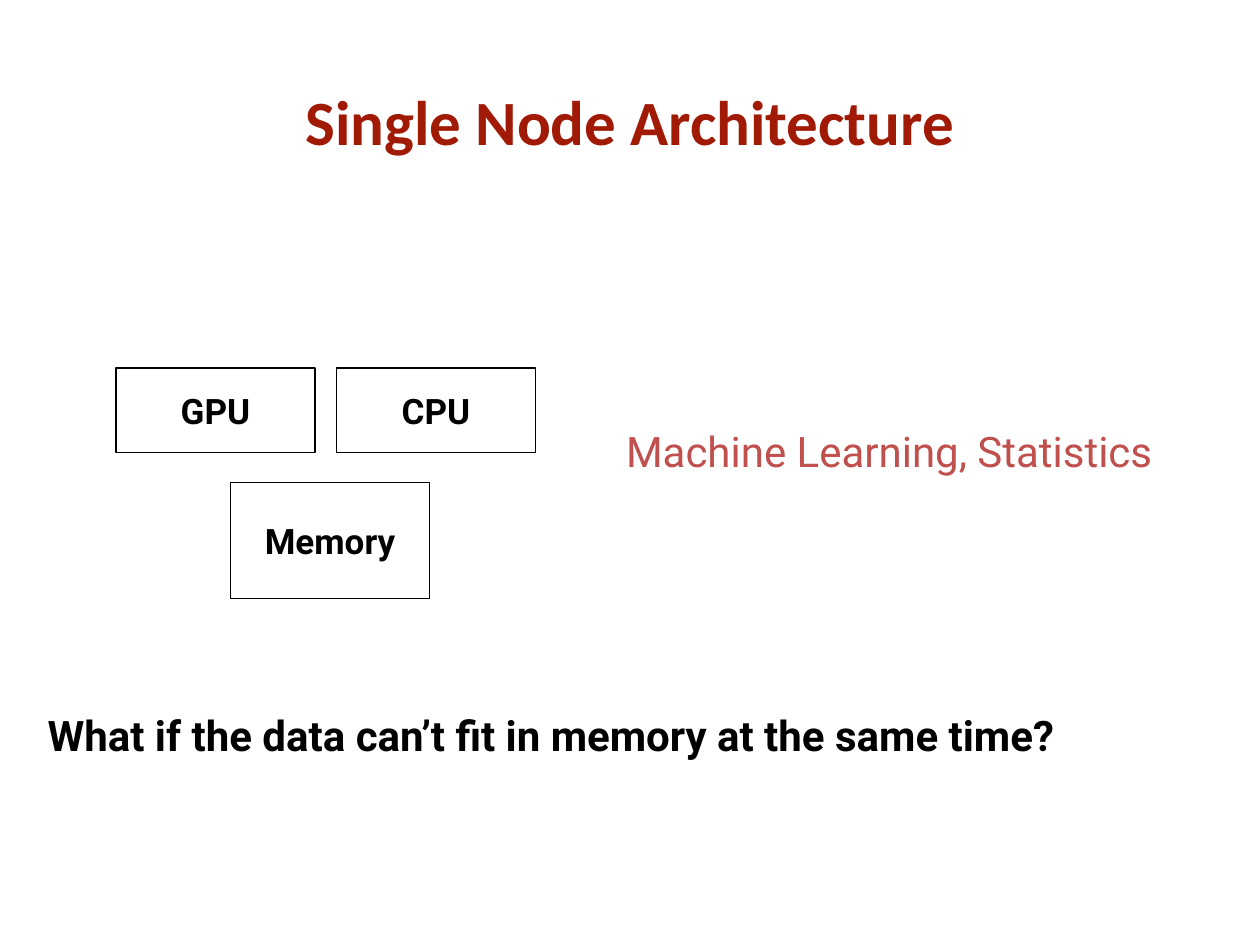
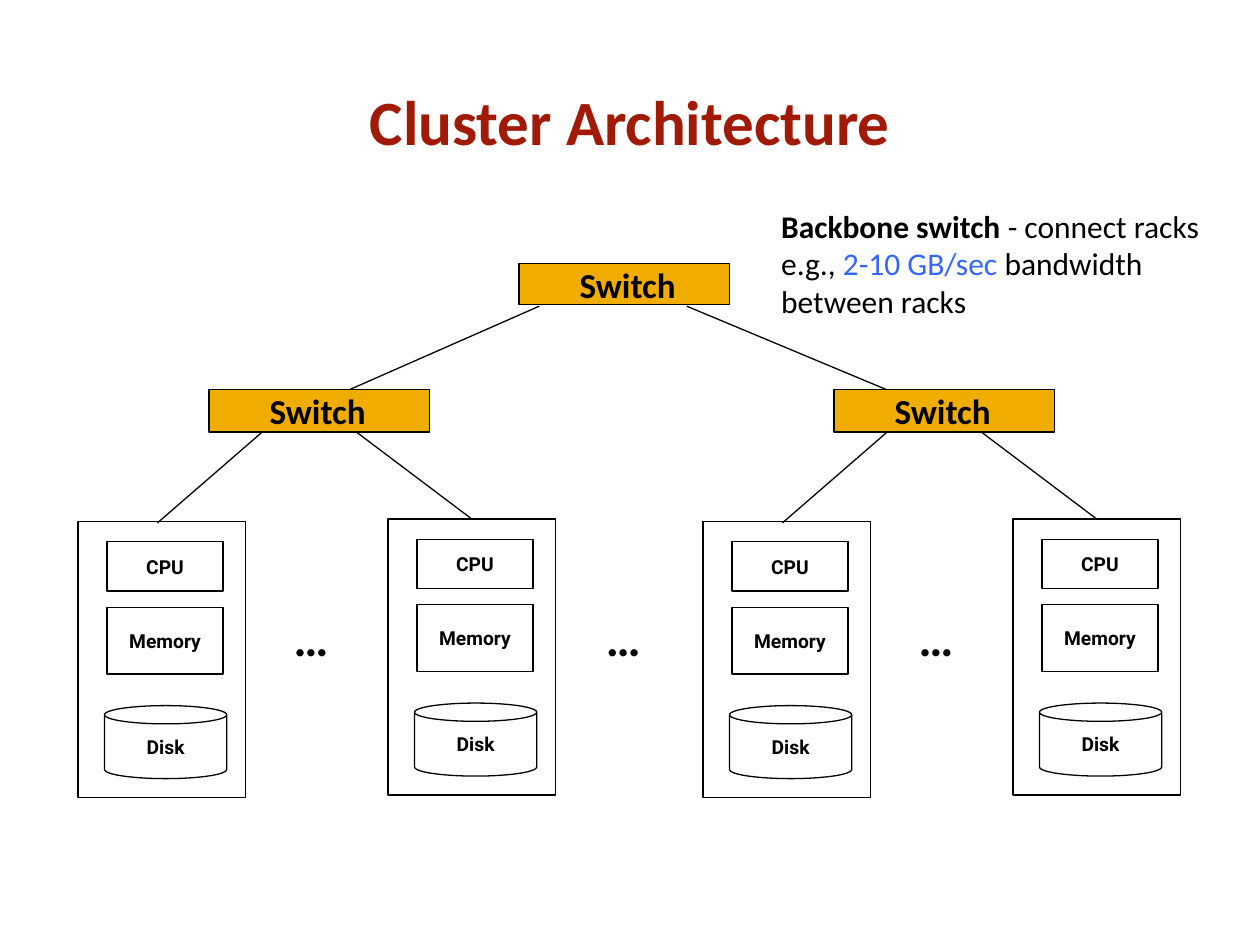
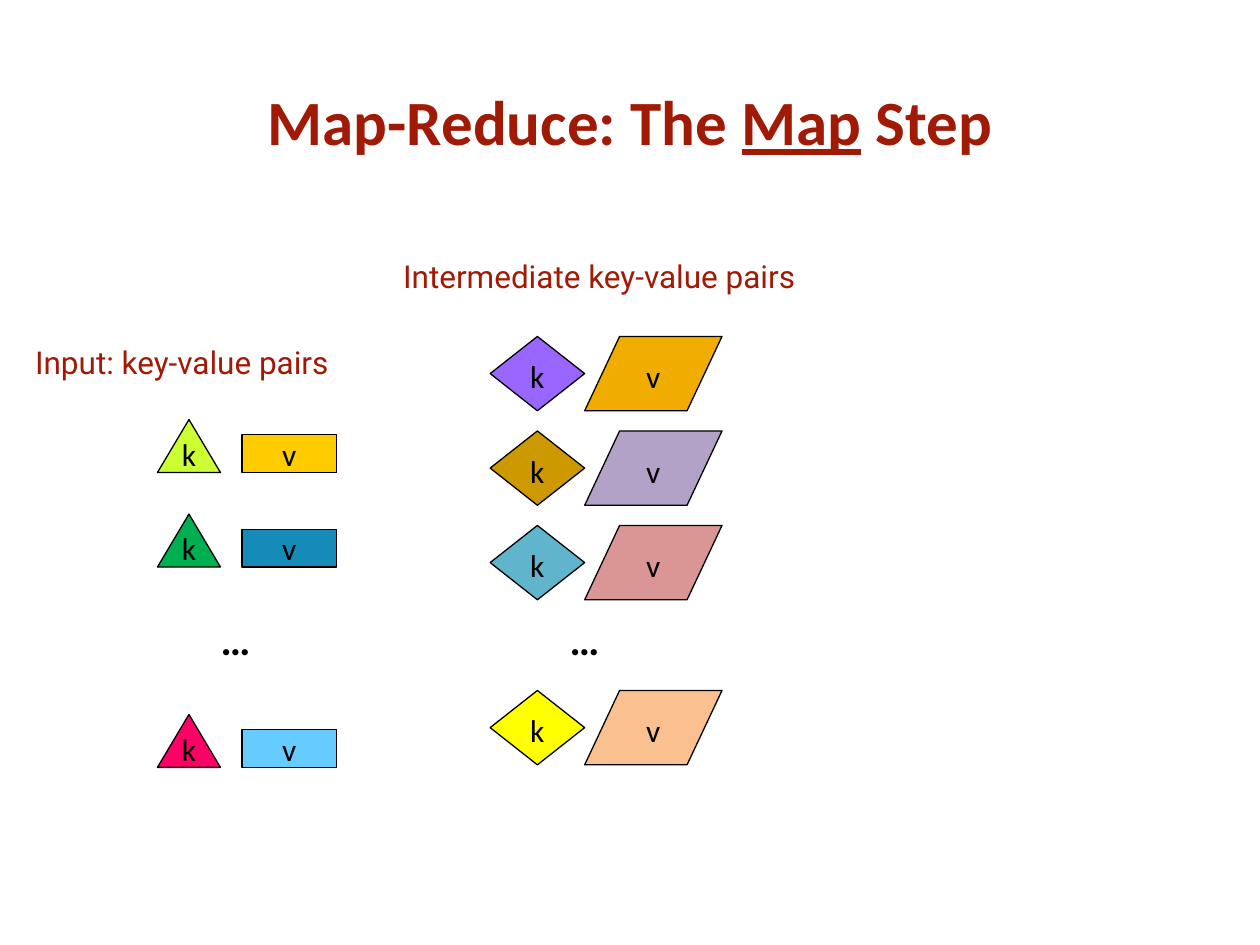
from pptx import Presentation
from pptx.dml.color import RGBColor
from pptx.enum.shapes import MSO_CONNECTOR, MSO_SHAPE
from pptx.enum.text import MSO_ANCHOR, PP_ALIGN
from pptx.oxml.ns import qn
from pptx.util import Inches, Pt

RECTANGLE = MSO_SHAPE.RECTANGLE
CAN = MSO_SHAPE.CAN
TRIANGLE = MSO_SHAPE.ISOSCELES_TRIANGLE
DIAMOND = MSO_SHAPE.DIAMOND
PARALLELOGRAM = MSO_SHAPE.PARALLELOGRAM
STRAIGHT = MSO_CONNECTOR.STRAIGHT
TOP, MIDDLE, BOTTOM = MSO_ANCHOR.TOP, MSO_ANCHOR.MIDDLE, MSO_ANCHOR.BOTTOM
LEFT, CENTER = PP_ALIGN.LEFT, PP_ALIGN.CENTER

HEADING_FONT = "Calibri"
LABEL_FONT = "Roboto"
LINE_WIDTH = Pt(0.75)
NO_INSETS = (0, 0, 0, 0)
TEXT_INSETS = (0.1, 0.05, 0.1, 0.05)
LOWERED = (0, 0.04, 0, 0)

COLORS = {
    "title": "A01A06",
    "black": "000000",
    "accent": "C0504D",
    "highlight": "3366FF",
    "switch": "F0AD00",
}
INPUT_PAIRS = [(3.33, "CCFF33", "FFCC00"), (4.08, "00B050", "168BBA"), (5.67, "FF0066", "66CCFF")]
INTERMEDIATE_PAIRS = [
    (2.67, "9966FF", "F0AD00"),
    (3.42, "CC9900", "B3A2C7"),
    (4.17, "60B5CC", "D99694"),
    (5.48, "FFFF00", "FAC090"),
]


def rgb(value):
    """Return the colour for a hex string."""
    return RGBColor.from_string(value)


def set_text(shape, lines, size, font=HEADING_FONT, color="black", bold=False,
             align=LEFT, anchor=TOP, insets=NO_INSETS, wrap=True):
    """Write lines, each a string or a list of (text, run font settings)."""
    frame = shape.text_frame
    frame.word_wrap = wrap
    frame.vertical_anchor = anchor
    (frame.margin_left, frame.margin_top,
     frame.margin_right, frame.margin_bottom) = map(Inches, insets)
    for index, line in enumerate(lines):
        paragraph = frame.add_paragraph() if index else frame.paragraphs[0]
        paragraph.alignment = align
        paragraph.font.size = Pt(size)
        paragraph.font.name = font
        paragraph.font.bold = bold
        paragraph.font.color.rgb = rgb(COLORS[color])
        for text, settings in [(line, {})] if isinstance(line, str) else line:
            run = paragraph.add_run()
            run.text = text
            run.font.bold = settings.get("bold")
            run.font.underline = settings.get("underline")
            if "color" in settings:
                run.font.color.rgb = rgb(COLORS[settings["color"]])


def add_text(slide, box, lines, size, **style):
    """Add a text box at box (left, top, width, height)."""
    shape = slide.shapes.add_textbox(*map(Inches, box))
    set_text(shape, lines, size, **style)


def add_figure(slide, kind, box, fill=None):
    """Add an outlined preset shape, unfilled unless a hex fill is given."""
    shape = slide.shapes.add_shape(kind, *map(Inches, box))
    shape.shadow.inherit = False
    if fill:
        shape.fill.solid()
        shape.fill.fore_color.rgb = rgb(fill)
    else:
        shape.fill.background()
    shape.line.color.rgb = rgb(COLORS["black"])
    shape.line.width = LINE_WIDTH
    return shape


def add_component(slide, kind, box, name, size):
    """Add a hardware component with its centred name."""
    shape = add_figure(slide, kind, box)
    set_text(shape, [name], size, font=LABEL_FONT, bold=True, align=CENTER,
             anchor=MIDDLE, insets=TEXT_INSETS, wrap=False)


def add_line(slide, start, end):
    """Add a thin black line between two points."""
    line = slide.shapes.add_connector(STRAIGHT, *map(Inches, (*start, *end)))
    line.line.color.rgb = rgb(COLORS["black"])
    line.line.width = LINE_WIDTH
    properties = line._element.spPr
    properties.append(properties.makeelement(qn("a:effectLst"), {}))
    return line


def add_switch(slide, box):
    """Add a network switch."""
    shape = add_figure(slide, RECTANGLE, box, COLORS["switch"])
    set_text(shape, ["Switch"], 20, bold=True, insets=(0.48, 0, 0, 0))


def add_rack(slide, left, top):
    """Add a rack node with processor, memory and disk."""
    rack = add_figure(slide, RECTANGLE, (left, top, 1.33, 2.19))
    add_component(slide, RECTANGLE, (left + 0.23, top + 0.16, 0.92, 0.39), "CPU", 11)
    add_component(slide, RECTANGLE, (left + 0.23, top + 0.68, 0.92, 0.53), "Memory", 11)
    add_component(slide, CAN, (left + 0.21, top + 1.46, 0.97, 0.58), "Disk", 11)
    return rack


def add_rack_group(slide, left):
    """Add a switch wired to two racks."""
    add_switch(slide, (left + 1.04, 3.09, 1.75, 0.34))
    add_rack(slide, left, 4.14)
    second_rack = add_rack(slide, left + 2.46, 4.12)
    add_line(slide, (left + 1.46, 3.43), (left + 0.63, 4.15))
    wire = add_line(slide, (left + 2.21, 3.43), (left + 3.13, 4.12))
    wire.end_connect(second_rack, 0)


def add_pair_part(slide, kind, box, fill, letter, anchor=MIDDLE, insets=NO_INSETS):
    """Add the key or the value of a pair."""
    shape = add_figure(slide, kind, box, fill)
    set_text(shape, [letter], 18, align=CENTER, anchor=anchor, insets=insets, wrap=False)
    return shape


def add_slide(presentation, title):
    """Add a blank slide with the shared title style."""
    slide = presentation.slides.add_slide(presentation.slide_layouts[6])
    add_text(slide, (0.75, 0.33, 8.5, 1.25), [title], 36, color="title", bold=True,
             align=CENTER, anchor=MIDDLE, insets=TEXT_INSETS)
    return slide


def build_single_node(presentation):
    """Build the single node slide."""
    slide = add_slide(presentation, "Single Node Architecture")
    add_text(slide, (0.28, 5.58, 9.44, 0.5),
             ["What if the data can’t fit in memory at the same time?"], 24,
             font=LABEL_FONT, bold=True, insets=TEXT_INSETS)
    add_component(slide, RECTANGLE, (1.83, 3.83, 1.58, 0.92), "Memory", 20)
    for left, name in ((0.92, "GPU"), (2.67, "CPU")):
        add_component(slide, RECTANGLE, (left, 2.92, 1.58, 0.67), name, 20)
    add_text(slide, (4.87, 3.33, 4.42, 0.5), ["Machine Learning, Statistics"], 24,
             font=LABEL_FONT, color="accent", insets=TEXT_INSETS)


def build_cluster(presentation):
    """Build the cluster slide."""
    slide = add_slide(presentation, "Cluster Architecture")
    add_switch(slide, (4.12, 2.09, 1.67, 0.33))
    for left in (0.62, 5.58):
        add_rack_group(slide, left)
    add_line(slide, (4.28, 2.43), (2.78, 3.09))
    add_line(slide, (5.45, 2.43), (7.03, 3.09))
    for index in range(3):
        add_text(slide, (2.33 + 2.48 * index, 4.82, 0.37, 0.42), ["…"], 28, bold=True)
    add_text(slide, (6.2, 1.64, 3.61, 0.91), [
        [("Backbone switch ", {"bold": True}), ("- connect racks", {})],
        [("e.g., ", {}), ("2-10 GB/sec ", {"color": "highlight"}),
         ("bandwidth between racks", {})],
    ], 18)


def build_map_step(presentation):
    """Build the map step slide."""
    slide = add_slide(presentation, [("Map-Reduce: The ", {}), ("Map", {"underline": True}),
                                     (" Step", {})])
    add_text(slide, (0.18, 2.67, 2.63, 0.4), ["Input: key-value pairs"], 18,
             font=LABEL_FONT, color="title", insets=TEXT_INSETS)
    add_text(slide, (3.2, 2.04, 3.26, 0.3), ["Intermediate key-value pairs"], 18,
             font=LABEL_FONT, color="title")
    for top, key_fill, value_fill in INPUT_PAIRS:
        add_pair_part(slide, TRIANGLE, (1.25, top, 0.5, 0.42), key_fill, "k", BOTTOM)
        add_pair_part(slide, RECTANGLE, (1.92, top + 0.12, 0.75, 0.3), value_fill, "v", TOP)
    for top, key_fill, value_fill in INTERMEDIATE_PAIRS:
        add_pair_part(slide, DIAMOND, (3.89, top, 0.75, 0.59), key_fill, "k", insets=LOWERED)
        value = add_pair_part(slide, PARALLELOGRAM, (4.64, top, 1.09, 0.59), value_fill, "v",
                              insets=LOWERED)
        value.adjustments[0] = 0.47
    for left in (1.75, 4.52):
        add_text(slide, (left, 4.87, 0.32, 0.36), ["…"], 24, bold=True)


def main():
    """Build and save the presentation."""
    presentation = Presentation()
    presentation.slide_width = Inches(10)
    presentation.slide_height = Inches(7.5)
    build_single_node(presentation)
    build_cluster(presentation)
    build_map_step(presentation)
    presentation.save("out.pptx")


if __name__ == "__main__":
    main()
